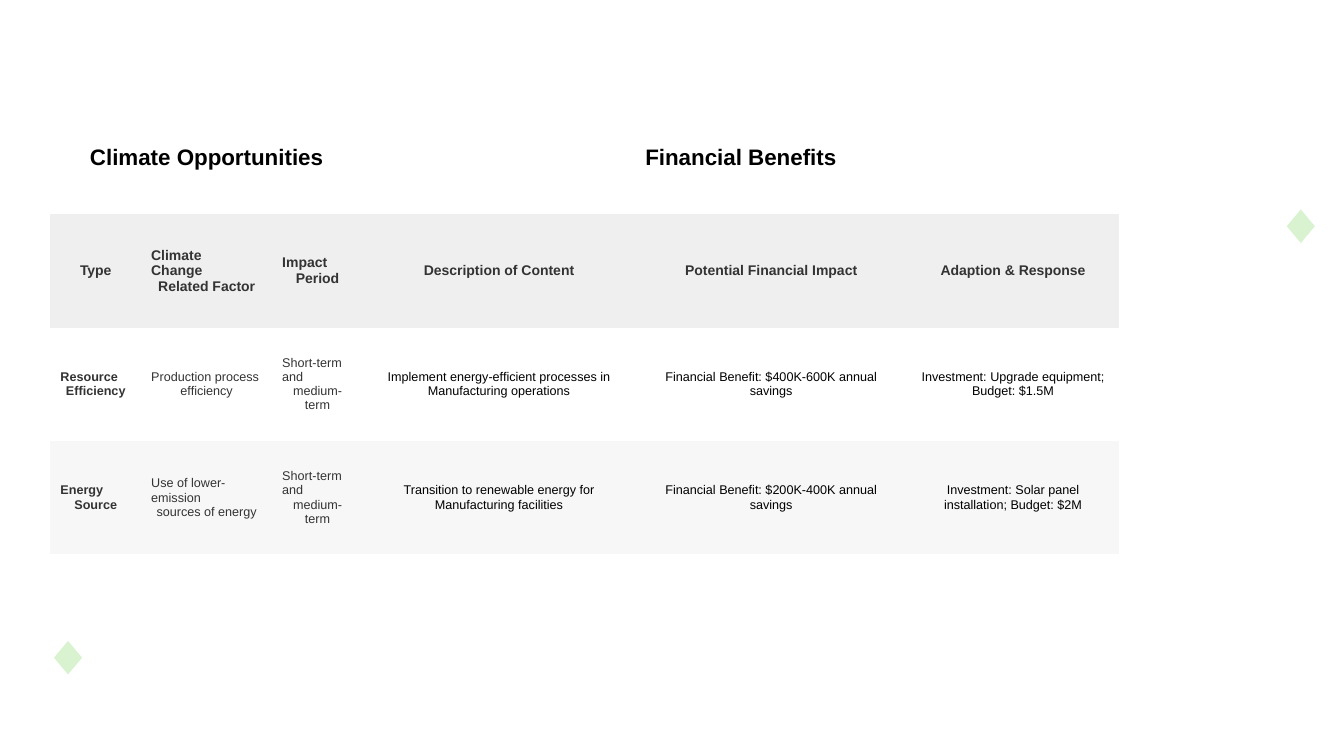
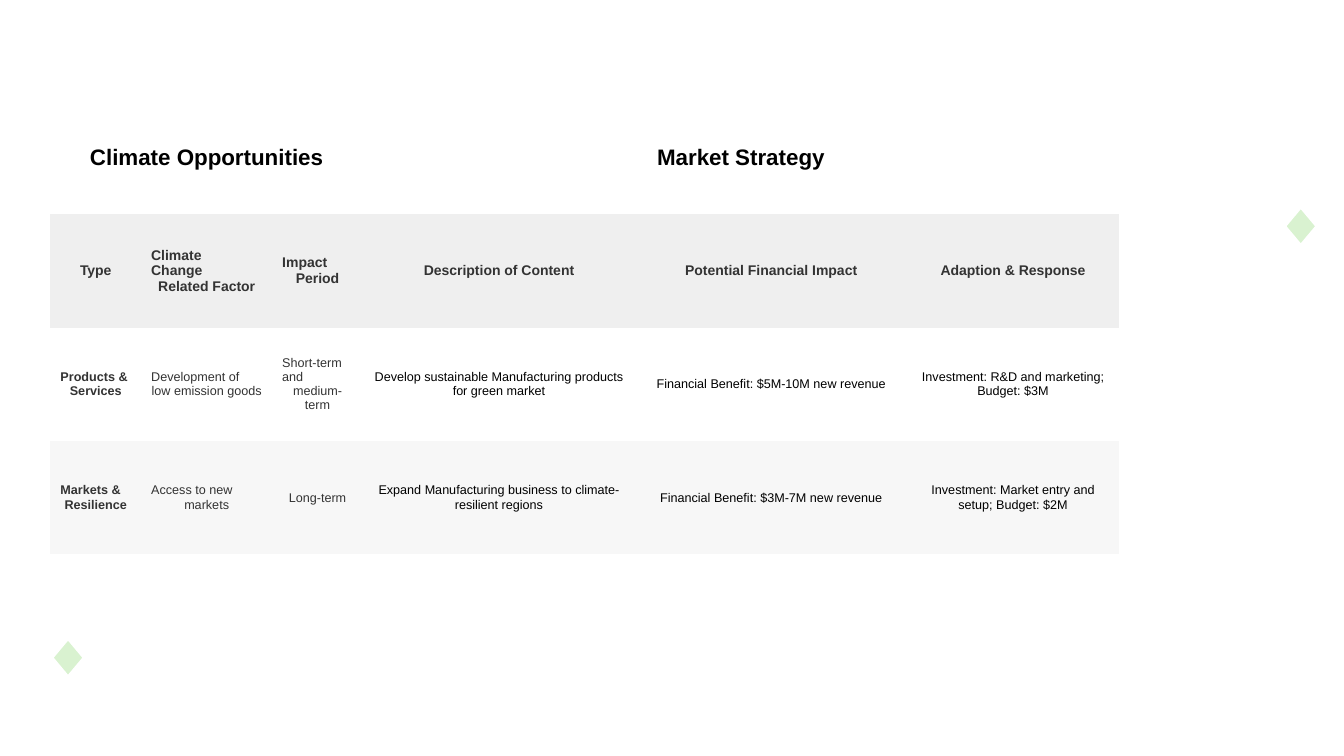
from lxml import etree
from pptx import Presentation
from pptx.dml.color import RGBColor
from pptx.enum.shapes import MSO_SHAPE
from pptx.enum.text import MSO_ANCHOR, PP_ALIGN
from pptx.oxml.ns import qn
from pptx.util import Pt

ARC, DIAMOND = MSO_SHAPE.ARC, MSO_SHAPE.DIAMOND
MIDDLE = MSO_ANCHOR.MIDDLE
LEFT, CENTER = PP_ALIGN.LEFT, PP_ALIGN.CENTER

WHITE = RGBColor(0xFF, 0xFF, 0xFF)
BLACK = RGBColor(0x00, 0x00, 0x00)
CHARCOAL = RGBColor(0x33, 0x33, 0x33)
HEADER_GREY = RGBColor(0xEF, 0xEF, 0xEF)
BAND_GREY = RGBColor(0xF7, 0xF7, 0xF7)
PALE_GREEN = RGBColor(0xD9, 0xF2, 0xD0)

FONT = "Arial"
NO_GRID_STYLE = "{2D5ABB26-0587-4C30-8999-92F81FD0307C}"
COLUMN_WIDTHS = [64.8, 93.6, 64.8, 194.4, 194.4, 151.2]
ROW_HEIGHT = 81
ROW_FILLS = [WHITE, HEADER_GREY, WHITE, BAND_GREY]
ROW_SIZES = [16, 10, 9, 9]
FIRST_WIDE_COLUMN = 3

COLUMN_HEADS = [
    "Type", "Climate\nChange\nRelated Factor", "Impact\nPeriod",
    "Description of Content", "Potential Financial Impact", "Adaption & Response",
]
SHORT_MEDIUM = "Short-term\nand\nmedium-term"
OPPORTUNITIES = [
    ("Financial Benefits", [
        ["Resource\nEfficiency", "Production process\nefficiency", SHORT_MEDIUM,
         "Implement energy-efficient processes in Manufacturing operations",
         "Financial Benefit: $400K-600K annual savings",
         "Investment: Upgrade equipment; Budget: $1.5M"],
        ["Energy\nSource", "Use of lower-emission\nsources of energy", SHORT_MEDIUM,
         "Transition to renewable energy for Manufacturing facilities",
         "Financial Benefit: $200K-400K annual savings",
         "Investment: Solar panel installation; Budget: $2M"],
    ]),
    ("Market Strategy", [
        ["Products &\nServices", "Development of\nlow emission goods", SHORT_MEDIUM,
         "Develop sustainable Manufacturing products for green market",
         "Financial Benefit: $5M-10M new revenue",
         "Investment: R&D and marketing; Budget: $3M"],
        ["Markets &\nResilience", "Access to new\nmarkets", "Long-term",
         "Expand Manufacturing business to climate-resilient regions",
         "Financial Benefit: $3M-7M new revenue",
         "Investment: Market entry and setup; Budget: $2M"],
    ]),
]


def write_cell(cell, text, size, color, bold):
    cell.vertical_anchor = MIDDLE
    cell.text_frame.text = text
    paragraphs = cell.text_frame.paragraphs
    for paragraph in paragraphs:
        paragraph.alignment = LEFT
        for run in paragraph.runs:
            run.font.name = FONT
            run.font.size = Pt(size)
            run.font.bold = bold
            run.font.color.rgb = color
    paragraphs[-1].alignment = CENTER


def decorate(layout, slide):
    sweep = slide.shapes.add_shape(ARC, Pt(784.8), Pt(-243.36), Pt(288), Pt(357.84))
    sweep.rotation = 151.3
    sweep.adjustments[0] = 152.05 * 0.6
    sweep.adjustments[1] = 215.37 * 0.6
    sweep.fill.background()
    sweep.line.color.rgb = PALE_GREEN
    sweep.line.width = Pt(46.25)
    stroke_color = next(sweep.line._ln.iter(qn("a:srgbClr")))
    etree.SubElement(stroke_color, qn("a:alpha")).set("val", "60000")
    ornaments = [sweep]
    for left, top in [(918, 148.32), (37.44, 456.48)]:
        gem = slide.shapes.add_shape(DIAMOND, Pt(left), Pt(top), Pt(22.32), Pt(26.64))
        gem.fill.solid()
        gem.fill.fore_color.rgb = PALE_GREEN
        gem.line.color.rgb = WHITE
        gem.line.width = Pt(1.5)
        ornaments.append(gem)
    for ornament in ornaments:
        ornament.shadow.inherit = False
        layout.shapes.element.append(ornament.element)


prs = Presentation()
prs.slide_width, prs.slide_height = Pt(960), Pt(540)
layout = prs.slide_layouts[6]
layout.background.fill.solid()
layout.background.fill.fore_color.rgb = WHITE
for placeholder in list(layout.placeholders):
    layout.shapes.element.remove(placeholder.element)

for number, (theme, entries) in enumerate(OPPORTUNITIES):
    slide = prs.slides.add_slide(layout)
    if number == 0:
        decorate(layout, slide)

    rows = [["Climate Opportunities", "", "", theme, "", ""], COLUMN_HEADS, *entries]
    frame = slide.shapes.add_table(
        len(rows), len(COLUMN_WIDTHS), Pt(36), Pt(72),
        Pt(sum(COLUMN_WIDTHS)), Pt(ROW_HEIGHT * len(rows)))
    next(frame.element.iter(qn("a:tableStyleId"))).text = NO_GRID_STYLE
    overview = frame.table
    overview.first_row = False
    overview.horz_banding = False
    for column, width in zip(overview.columns, COLUMN_WIDTHS):
        column.width = Pt(width)
    for first in (0, FIRST_WIDE_COLUMN):
        overview.cell(0, first).merge(overview.cell(0, first + 2))

    for r, texts in enumerate(rows):
        for c, text in enumerate(texts):
            cell = overview.cell(r, c)
            cell.fill.solid()
            cell.fill.fore_color.rgb = ROW_FILLS[r]
            if cell.is_spanned:
                continue
            is_black = r == 0 or (r > 1 and c >= FIRST_WIDE_COLUMN)
            write_cell(cell, text, ROW_SIZES[r], BLACK if is_black else CHARCOAL,
                       r < 2 or c == 0)

prs.save("out.pptx")
